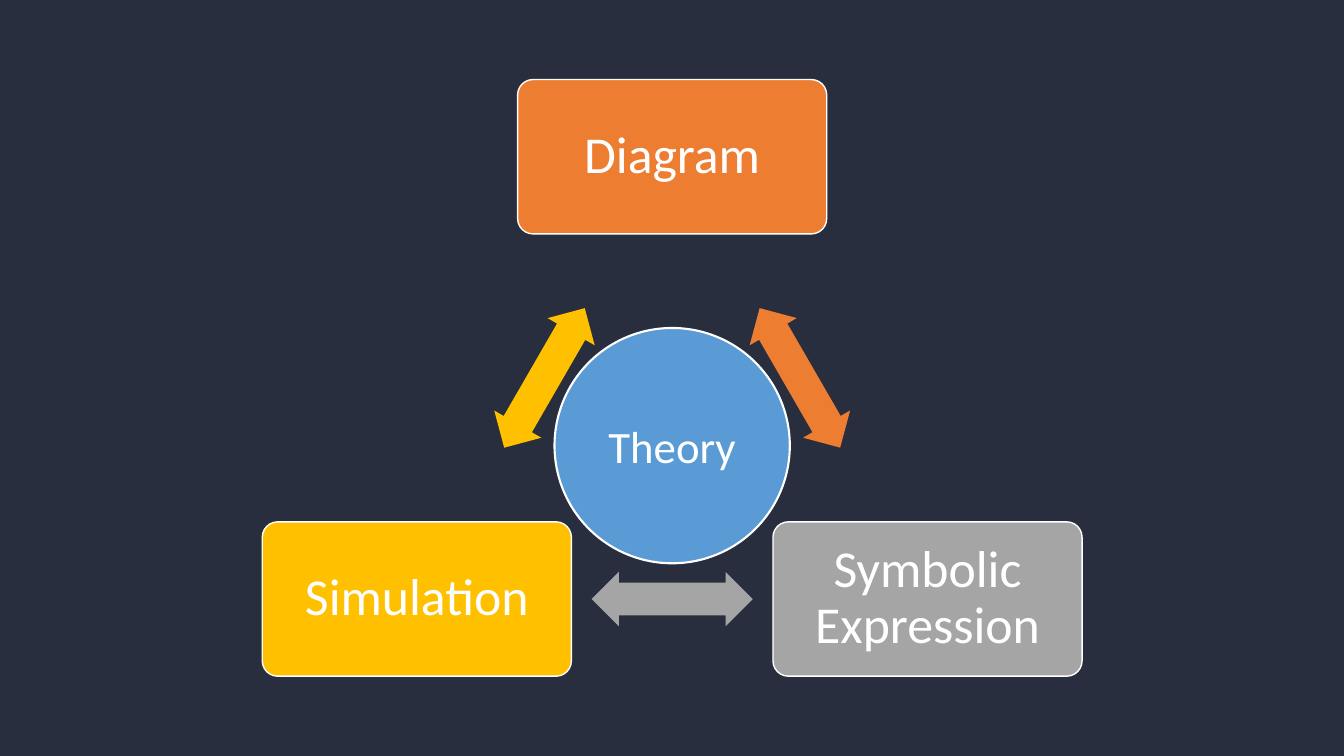
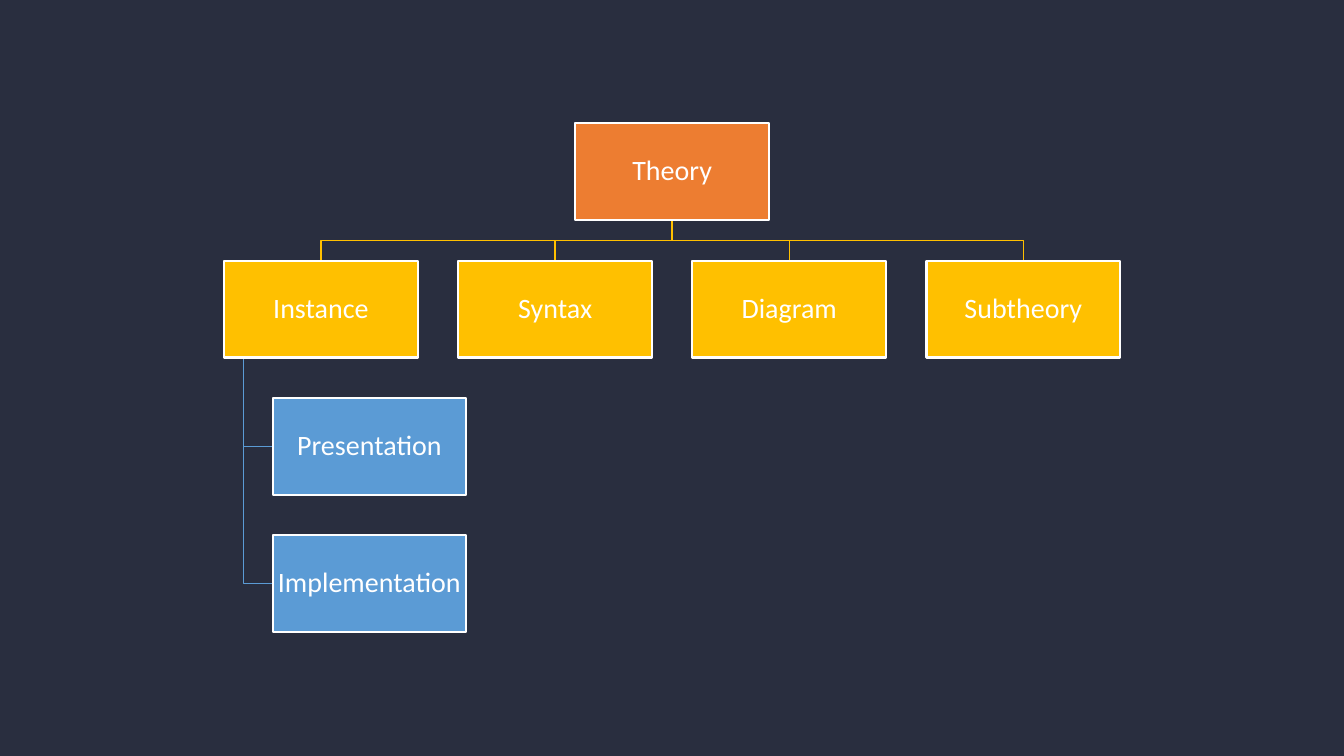
from dataclasses import dataclass
from math import cos, radians, sin

from pptx import Presentation
from pptx.dml.color import RGBColor as Rgb
from pptx.enum.shapes import MSO_SHAPE as Preset
from pptx.enum.text import MSO_ANCHOR as Anchor, PP_ALIGN as Align
from pptx.util import Cm, Pt


@dataclass(frozen=True)
class Theme:
    background: Rgb = Rgb(0x29, 0x2E, 0x3F)
    white: Rgb = Rgb(0xFF, 0xFF, 0xFF)
    orange: Rgb = Rgb(0xED, 0x7D, 0x31)
    gray: Rgb = Rgb(0xA5, 0xA5, 0xA5)
    gold: Rgb = Rgb(0xFF, 0xC0, 0x00)
    blue: Rgb = Rgb(0x5B, 0x9B, 0xD5)
    font: str = "Calibri"
    cycle_size: Pt = Pt(37)
    center_size: Pt = Pt(32)
    tree_size: Pt = Pt(20)
    thin: Pt = Pt(1)
    thick: Pt = Pt(1.5)


theme = Theme()


def add_node(slide, preset, center_x, center_y, width, height, color,
             text="", size=None, outline=None, inset=0, spacing=0.9):
    """Add a filled shape around a center point (in cm), with optional text."""
    shape = slide.shapes.add_shape(preset, Cm(center_x - width / 2), Cm(center_y - height / 2),
                                   Cm(width), Cm(height))
    shape.shadow.inherit = False
    shape.fill.solid()
    shape.fill.fore_color.rgb = color
    if outline:
        shape.line.color.rgb = theme.white
        shape.line.width = outline
    else:
        shape.line.fill.background()
    if text:
        frame = shape.text_frame
        frame.word_wrap = True
        frame.vertical_anchor = Anchor.MIDDLE
        frame.margin_left = frame.margin_right = Cm(inset)
        frame.margin_top = frame.margin_bottom = Cm(inset)
        paragraph = frame.paragraphs[0]
        paragraph.alignment = Align.CENTER
        paragraph.line_spacing = spacing
        run = paragraph.add_run()
        run.text = text
        run.font.name = theme.font
        run.font.size = size
        run.font.color.rgb = theme.white
    return shape


def add_bent_line(slide, points, color):
    """Add an open line with corners through the points (in cm)."""
    start, *rest = [(Cm(x), Cm(y)) for x, y in points]
    builder = slide.shapes.build_freeform(*start)
    builder.add_line_segments(rest, close=False)
    line = builder.convert_to_shape()
    line.shadow.inherit = False
    line.fill.background()
    line.line.color.rgb = color
    line.line.width = theme.thin


# Presentation and shared background
presentation = Presentation()
presentation.slide_width = Cm(33.87)
presentation.slide_height = Cm(19.05)
master_fill = presentation.slide_master.background.fill
master_fill.solid()
master_fill.fore_color.rgb = theme.background
blank_layout = presentation.slide_layouts[6]
middle_x = 16.94

# Slide 1: cycle of three views around the theory
slide = presentation.slides.add_slide(blank_layout)
views = [("Diagram", theme.orange), ("Symbolic Expression", theme.gray),
         ("Simulation", theme.gold)]
ring_y, ring_radius = 11.38, 7.43
turn = 360 / len(views)

for index, (name, color) in enumerate(views):
    angle = radians(index * turn)
    box = add_node(slide, Preset.ROUNDED_RECTANGLE,
                   middle_x + ring_radius * sin(angle), ring_y - ring_radius * cos(angle),
                   7.79, 3.89, color, name, theme.cycle_size, theme.thin, inset=0.38)
    box.adjustments[0] = 0.1

    # Arrow halfway to the next view
    half_angle = radians((index + 0.5) * turn)
    arrow_radius = ring_radius * cos(radians(turn / 2))
    arrow = add_node(slide, Preset.LEFT_RIGHT_ARROW,
                     middle_x + arrow_radius * sin(half_angle),
                     ring_y - arrow_radius * cos(half_angle), 4.06, 1.37, color)
    arrow.adjustments[0] = 0.6
    arrow.adjustments[1] = 0.5
    arrow.rotation = (index + 0.5) * turn

add_node(slide, Preset.OVAL, middle_x, 11.23, 5.93, 5.93, theme.blue,
         "Theory", theme.center_size, theme.thick, inset=0.38, spacing=1.0)

# Slide 2: tree of the theory
slide = presentation.slides.add_slide(blank_layout)
branches = ["Instance", "Syntax", "Diagram", "Subtheory"]
leaves = ["Presentation", "Implementation"]
box_width, box_height, gap = 4.88, 2.44, 1.02
root_y = 4.33
row_step = box_height + gap
column_step = box_width + gap
branch_y = root_y + row_step
branch_xs = [middle_x + (index - (len(branches) - 1) / 2) * column_step
             for index in range(len(branches))]
leaf_x = branch_xs[0] + box_width / 4
leaf_ys = [branch_y + (index + 1) * row_step for index in range(len(leaves))]

# Lines from root to branches
bus_y = (root_y + branch_y) / 2
for branch_x in branch_xs:
    add_bent_line(slide, [(middle_x, root_y + box_height / 2), (middle_x, bus_y),
                          (branch_x, bus_y), (branch_x, branch_y - box_height / 2)], theme.gold)

# Lines from the first branch to its leaves
spine_x = branch_xs[0] - 0.4 * box_width
for leaf_y in leaf_ys:
    add_bent_line(slide, [(spine_x, branch_y + box_height / 2), (spine_x, leaf_y),
                          (leaf_x - box_width / 2, leaf_y)], theme.blue)

# Boxes
boxes = [("Theory", middle_x, root_y, theme.orange)]
boxes += [(name, x, branch_y, theme.gold) for name, x in zip(branches, branch_xs)]
boxes += [(name, leaf_x, y, theme.blue) for name, y in zip(leaves, leaf_ys)]
for name, x, y, color in boxes:
    add_node(slide, Preset.RECTANGLE, x, y, box_width, box_height, color,
             name, theme.tree_size, theme.thick, inset=0.03)

presentation.save("out.pptx")
